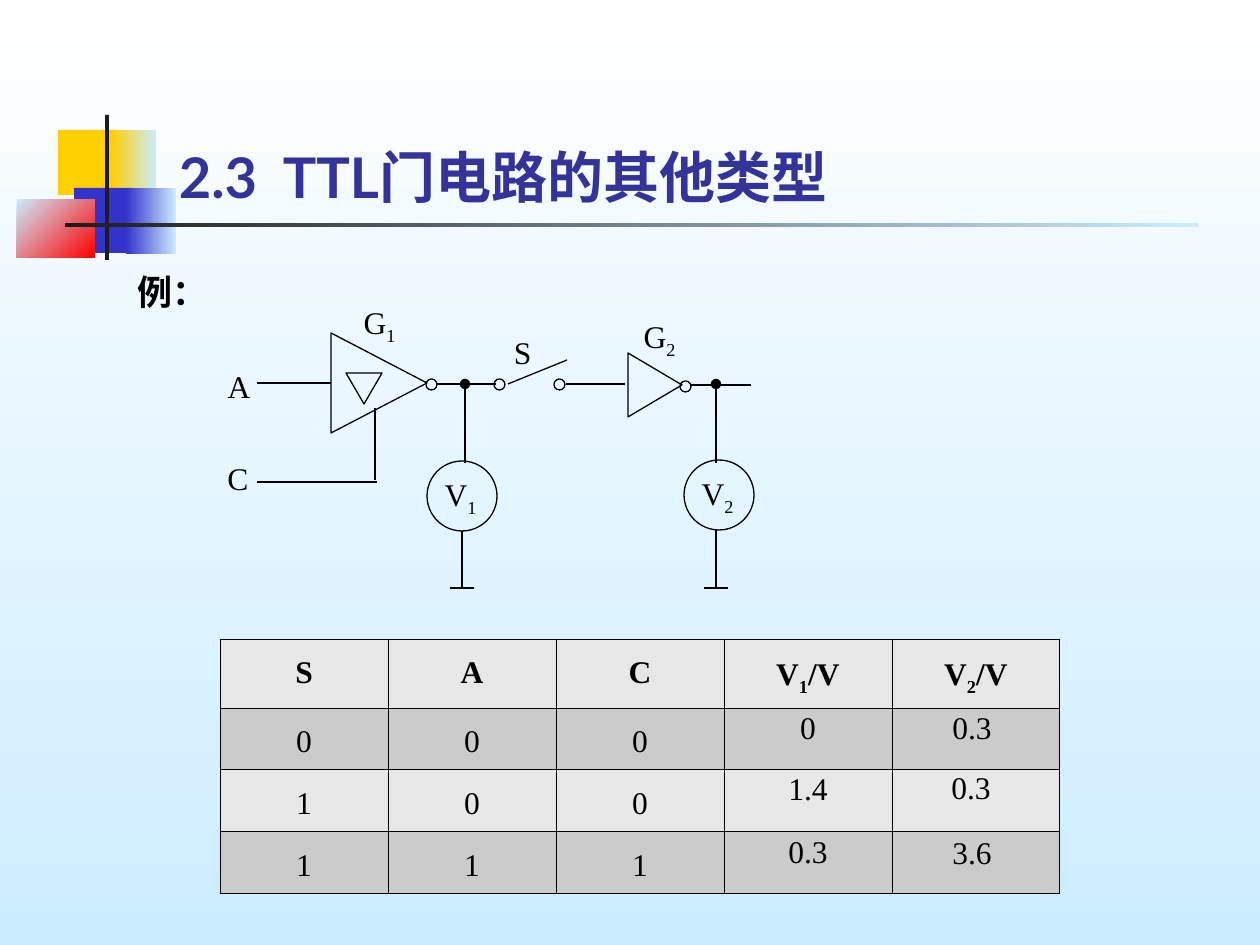
from dataclasses import dataclass
from typing import NamedTuple

from lxml import etree
from pptx import Presentation
from pptx.dml.color import RGBColor
from pptx.enum.shapes import MSO_CONNECTOR, MSO_SHAPE
from pptx.enum.text import MSO_ANCHOR, MSO_AUTO_SIZE, PP_ALIGN
from pptx.oxml.ns import qn
from pptx.util import Pt

RECT, OVAL, TRIANGLE = MSO_SHAPE.RECTANGLE, MSO_SHAPE.OVAL, MSO_SHAPE.ISOSCELES_TRIANGLE
STRAIGHT = MSO_CONNECTOR.STRAIGHT
LEFT, CENTER, BOTTOM = PP_ALIGN.LEFT, PP_ALIGN.CENTER, MSO_ANCHOR.BOTTOM
FIT_SHAPE = MSO_AUTO_SIZE.SHAPE_TO_FIT_TEXT
EMU_PER_PX = 914400 / 126


@dataclass(frozen=True)
class Theme:
    ink: str = "000000"
    title: str = "333399"
    white: str = "FFFFFF"
    sky: str = "CCECFF"
    yellow: str = "FFCF01"
    blue: str = "3333CC"
    red: str = "FF0000"
    rule: str = "1C1C1C"
    rows: tuple = ("E7E7E7", "CBCBCB")
    serif: str = "Times New Roman"
    latin: str = "Lato"
    cjk: str = "Noto Sans CJK SC"
    title_size: int = 32
    lead_size: int = 20
    body_size: int = 18
    wire: float = 0.75
    border: float = 0.45


THEME = Theme()


class Box(NamedTuple):
    x: int
    y: int
    w: int
    h: int


class Block(NamedTuple):
    box: Box
    colors: tuple
    angle: int = 0


class Symbol(NamedTuple):
    kind: int
    box: Box
    rotation: int = 0


class Label(NamedTuple):
    text: str
    box: Box


class Wire(NamedTuple):
    x1: int
    y1: int
    x2: int
    y2: int
    dot: bool = False


class Probe(NamedTuple):
    name: str
    node_x: int
    ring: Box
    ground_x: int


def px(length: int) -> int:
    return round(length * EMU_PER_PX)


def emu(box: Box) -> list:
    return [px(length) for length in box]


def paint(fill, colors: tuple, angle: int = 0) -> None:
    """One colour gives a solid fill, two a gradient at a clockwise angle."""
    if len(colors) == 1:
        fill.solid()
        fill.fore_color.rgb = RGBColor.from_string(colors[0])
        return
    fill.gradient()
    fill.gradient_angle = (360 - angle) % 360
    for stop, color in zip(fill.gradient_stops, colors):
        stop.color.rgb = RGBColor.from_string(color)


def write(frame, text: str, *, size: int = THEME.body_size, font: str = THEME.serif,
          color: str = THEME.ink, bold: bool = False, align=CENTER, spacing=None) -> None:
    """Write one paragraph; parts between underscores become subscripts."""
    paragraph = frame.paragraphs[0]
    paragraph.alignment = align
    if spacing:
        paragraph.line_spacing = spacing
    for index, part in enumerate(text.split("_")):
        run = paragraph.add_run()
        run.text = part
        run.font.size, run.font.bold, run.font.name = Pt(size), bold, font
        run.font.color.rgb = RGBColor.from_string(color)
        properties = run.font._element
        etree.SubElement(properties, qn("a:ea")).set("typeface", THEME.cjk)
        if index % 2:
            properties.set("baseline", "-25000")


def draw_block(slide, block: Block) -> None:
    shape = slide.shapes.add_shape(RECT, *emu(block.box))
    shape.shadow.inherit = False
    shape.line.fill.background()
    paint(shape.fill, block.colors, block.angle)


def draw_symbol(slide, symbol: Symbol) -> None:
    shape = slide.shapes.add_shape(symbol.kind, *emu(symbol.box))
    shape.shadow.inherit = False
    shape.rotation = symbol.rotation
    shape.fill.background()
    shape.line.color.rgb = RGBColor.from_string(THEME.ink)
    shape.line.width = Pt(THEME.wire)


def draw_wire(slide, wire: Wire) -> None:
    line = slide.shapes.add_connector(STRAIGHT, *[px(v) for v in wire[:4]])
    line.line.color.rgb = RGBColor.from_string(THEME.ink)
    line.line.width = Pt(THEME.wire)
    if wire.dot:
        etree.SubElement(line.line._get_or_add_ln(), qn("a:tailEnd")).set("type", "oval")
    etree.SubElement(line._element.spPr, qn("a:effectLst"))


def draw_label(slide, label: Label, **style) -> None:
    frame = slide.shapes.add_textbox(*emu(label.box)).text_frame
    frame.word_wrap = False
    frame.auto_size = FIT_SHAPE
    write(frame, label.text, **style)


def draw_probe(slide, probe: Probe) -> None:
    x, y, w, h = probe.ring
    draw_wire(slide, Wire(probe.node_x, 463, probe.node_x, 384, dot=True))
    draw_symbol(slide, Symbol(OVAL, probe.ring))
    draw_label(slide, Label(probe.name, Box(x + 5, y + 8, 57, 55)))
    draw_wire(slide, Wire(probe.ground_x, y + h, probe.ground_x, 589))
    draw_wire(slide, Wire(probe.ground_x + 12, 588, probe.ground_x - 12, 588))


def border_cell(cell) -> None:
    properties = cell._tc.get_or_add_tcPr()
    for index, side in enumerate(("lnL", "lnR", "lnT", "lnB")):
        line = etree.Element(qn(f"a:{side}"), w=str(Pt(THEME.border)))
        fill = etree.SubElement(line, qn("a:solidFill"))
        etree.SubElement(fill, qn("a:srgbClr")).set("val", THEME.ink)
        properties.insert(index, line)


def draw_table(slide, box: Box, heights: tuple, rows: tuple) -> None:
    table = slide.shapes.add_table(len(rows), len(rows[0]), *emu(box)).table
    for r, (height, values) in enumerate(zip(heights, rows)):
        table.rows[r].height = px(height)
        for c, value in enumerate(values):
            cell = table.cell(r, c)
            paint(cell.fill, (THEME.rows[r % 2],))
            border_cell(cell)
            if value:
                write(cell.text_frame, value, bold=r == 0, spacing=1.3)


BLOCKS = (
    Block(Box(58, 130, 60, 65), (THEME.yellow,)),
    Block(Box(111, 130, 45, 65), (THEME.yellow, THEME.sky)),
    Block(Box(74, 188, 58, 65), (THEME.blue,)),
    Block(Box(126, 188, 50, 66), (THEME.blue, THEME.sky)),
    Block(Box(17, 199, 78, 59), (THEME.sky, THEME.red), 45),
    Block(Box(105, 115, 4, 145), (THEME.rule,)),
    Block(Box(65, 223, 1133, 4), (THEME.rule, THEME.sky)),
)
SYMBOLS = (
    Symbol(TRIANGLE, Box(329, 335, 100, 96), 90),
    Symbol(TRIANGLE, Box(346, 373, 36, 31), 180),
    Symbol(TRIANGLE, Box(623, 358, 64, 54), 90),
    *(Symbol(OVAL, Box(x, y, 11, 11)) for x, y in ((426, 379), (494, 379), (554, 379), (680, 381))),
)
WIRES = (
    Wire(331, 383, 257, 383), Wire(377, 482, 257, 482), Wire(375, 480, 375, 408),
    Wire(496, 384, 437, 384), Wire(567, 360, 508, 384), Wire(625, 384, 566, 384),
    Wire(751, 385, 691, 385),
)
PROBES = (
    Probe("V_1", 465, Box(427, 461, 70, 70), 462),
    Probe("V_2", 716, Box(684, 460, 70, 70), 716),
)
LABELS = (
    Label("G_1", Box(351, 297, 57, 55)), Label("G_2", Box(631, 311, 57, 55)),
    Label("A", Box(215, 361, 48, 50)), Label("C", Box(215, 453, 45, 50)),
    Label("S", Box(501, 327, 43, 50)),
)
READINGS = tuple(
    Label(text, Box(x, y, 72, 50))
    for text, x, y in (("0", 772, 702), ("1.4", 772, 763), ("0.3", 772, 826),
                       ("0.3", 936, 702), ("0.3", 935, 762), ("3.6", 936, 827))
)
STATES = (
    ("S", "A", "C", "V_1_/V", "V_2_/V"),
    ("0", "0", "0", "", ""),
    ("1", "0", "0", "", ""),
    ("1", "1", "1", "", ""),
)


def main() -> None:
    deck = Presentation()
    deck.slide_width, deck.slide_height = px(1260), px(945)
    slide = deck.slides.add_slide(deck.slide_layouts[5])
    paint(slide.background.fill, (THEME.white, THEME.sky), 90)

    # Title with its corner ornament
    for block in BLOCKS:
        draw_block(slide, block)
    title = slide.shapes.title
    title.left, title.top, title.width, title.height = emu(Box(157, 115, 895, 101))
    title.text_frame.vertical_anchor = BOTTOM
    title.text_frame.margin_left = px(22)
    write(title.text_frame, "2.3  TTL门电路的其他类型", size=THEME.title_size,
          font=THEME.latin, color=THEME.title, bold=True, align=LEFT)
    draw_label(slide, Label("例：", Box(125, 256, 94, 63)), size=THEME.lead_size,
               font=THEME.cjk, bold=True, align=LEFT, spacing=1.2)

    # Truth table with measured voltages
    draw_table(slide, Box(220, 639, 840, 254), (69, 61, 62, 62), STATES)
    for reading in READINGS:
        draw_label(slide, reading)

    # Circuit
    for symbol in SYMBOLS:
        draw_symbol(slide, symbol)
    for wire in WIRES:
        draw_wire(slide, wire)
    for probe in PROBES:
        draw_probe(slide, probe)
    for label in LABELS:
        draw_label(slide, label)

    deck.save("out.pptx")


if __name__ == "__main__":
    main()
